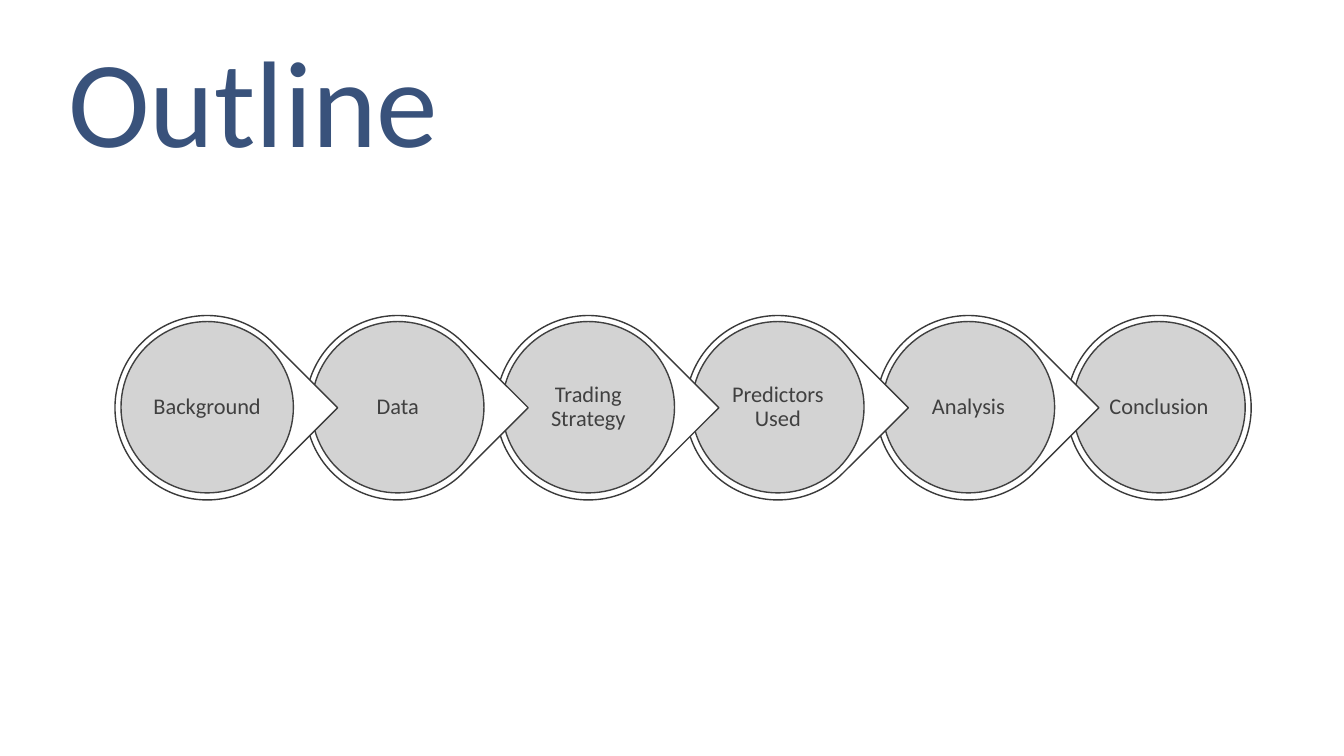
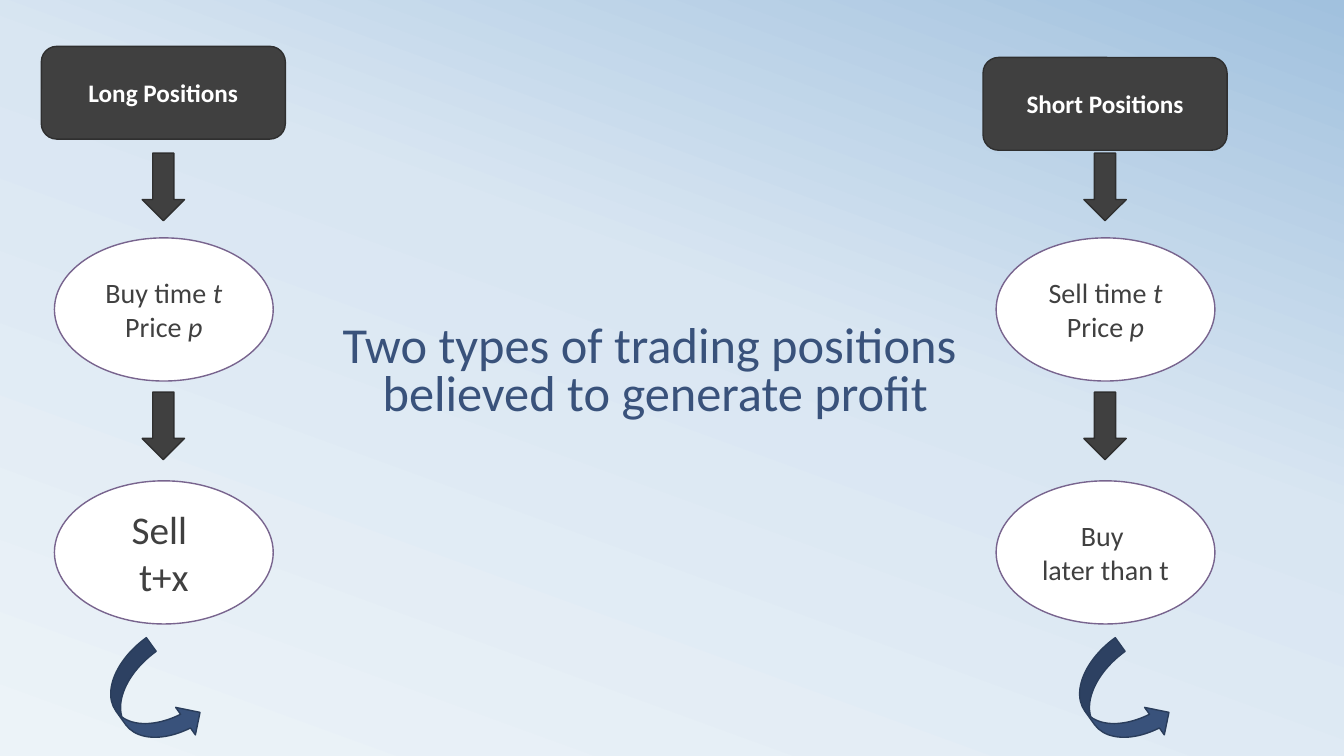
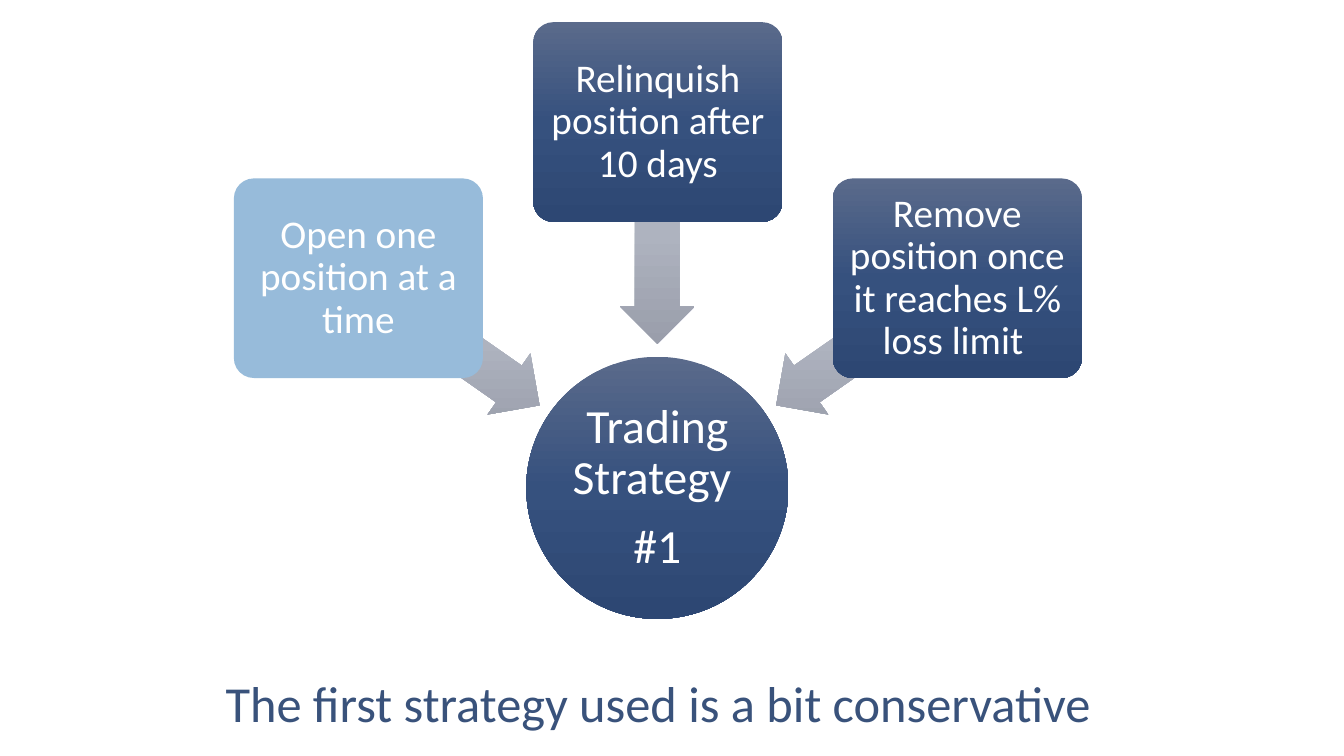
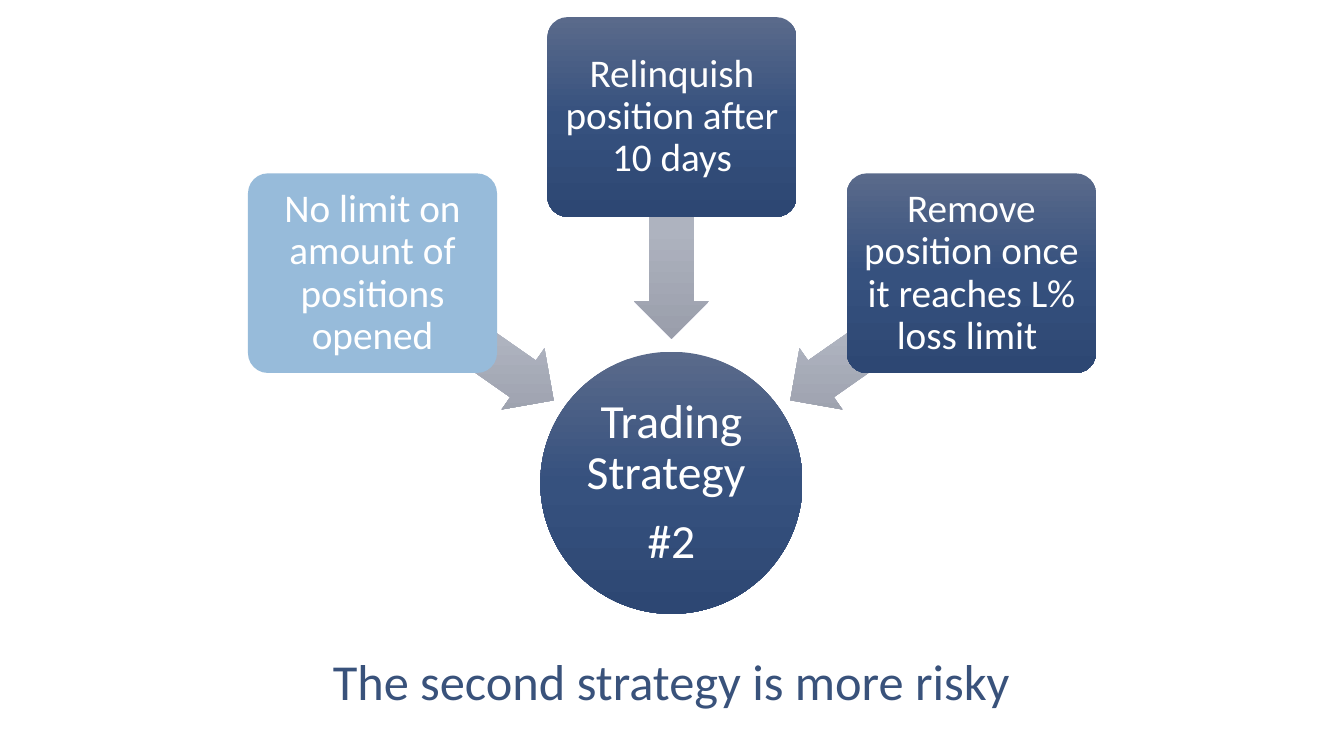
import lxml.etree
import pptx
import pptx.dml.color
import pptx.enum.shapes
import pptx.enum.text
import pptx.oxml.ns
import pptx.util

SCALE = 9144
FONT = "Calibri"
WHITE, GREY, NAVY = "FFFFFF", "404040", "39527B"
EDGE = "2F2F2F"
SKY = "97BBDA"
DEEP = [(0, "5A6A8B"), (50, "36517E"), (100, "2D4773")]
STEEL = [(0, "B8BCC6"), (50, "AEB3BF"), (100, "9A9EAB")]
DAWN = [(0, "ECF3F8"), (58, "D9E6F2"), (100, "A1C1DE")]
KIND = pptx.enum.shapes.MSO_SHAPE
ANCHOR = pptx.enum.text.MSO_ANCHOR
ALIGN = pptx.enum.text.PP_ALIGN


def px(*nums):
    """Turn whole px into EMU lengths."""
    return [pptx.util.Emu(num * SCALE) for num in nums]


def rgb(code):
    """Turn a hex string into a colour."""
    return pptx.dml.color.RGBColor.from_string(code)


def blend(owner, stops, angle):
    """Give a shape or the ground of a slide a gradient, angle clockwise."""
    fill = owner.background.fill if hasattr(owner, "background") else owner.fill
    fill.gradient()
    fill.gradient_angle = 360 - angle
    name = pptx.oxml.ns.qn
    ramp = next(owner.element.iter(name("a:gsLst")))
    ramp.getparent().set("rotWithShape", "0")
    for old in list(ramp):
        ramp.remove(old)
    for place, code in stops:
        stop = lxml.etree.SubElement(ramp, name("a:gs"), pos=str(place * 1000))
        lxml.etree.SubElement(stop, name("a:srgbClr"), val=code)


def fade(shape, share):
    """Set the opacity of a solid fill in percent."""
    name = pptx.oxml.ns.qn
    tint = shape.element.spPr.find(name("a:solidFill")).find(name("a:srgbClr"))
    lxml.etree.SubElement(tint, name("a:alpha"), val=str(share * 1000))


def draw(slide, kind, box, fill, line=None, turn=0, adjust=()):
    """Add a preset shape with a flat fill or a list of gradient stops."""
    shape = slide.shapes.add_shape(kind, *px(*box))
    shape.shadow.inherit = False
    shape.rotation = turn
    for spot, value in enumerate(adjust):
        shape.adjustments[spot] = value
    if isinstance(fill, list):
        blend(shape, fill, 90)
    else:
        shape.fill.solid()
        shape.fill.fore_color.rgb = rgb(fill)
    if line:
        shape.line.color.rgb = rgb(line)
        shape.line.width = pptx.util.Pt(1)
    else:
        shape.line.fill.background()
    return shape


def write(shape, words, size, color, bold=False, align=ALIGN.CENTER,
          anchor=ANCHOR.MIDDLE, pad=None, lead=None, gap=0):
    """Fill a shape with text; stars mark italics, \\v a line break."""
    frame = shape.text_frame
    frame.word_wrap = True
    frame.vertical_anchor = anchor
    if pad is not None:
        frame.margin_left, frame.margin_top, frame.margin_right, frame.margin_bottom = px(*[pad] * 4)
    for row, line in enumerate(words.split("\n")):
        para = frame.add_paragraph() if row else frame.paragraphs[0]
        para.alignment = align
        para.line_spacing = lead
        if row and gap:
            para.space_before = pptx.util.Pt(gap)
        for turn, part in enumerate(line.split("*")):
            for nth, piece in enumerate(part.split("\v")):
                if nth:
                    para.add_line_break()
                if piece:
                    run = para.add_run()
                    run.text = piece
                    font = run.font
                    font.name, font.size = FONT, pptx.util.Pt(size)
                    font.bold, font.italic = bold, turn % 2 == 1
                    font.color.rgb = rgb(color)


def title(slide, box, words, size=36, align=ALIGN.CENTER):
    """Add a title that sits on the bottom of its box."""
    write(slide.shapes.add_textbox(*px(*box)), words, size, NAVY,
          align=align, anchor=ANCHOR.BOTTOM, lead=0.8)


def chain(slide, left, top, names):
    """Draw the row of linked drops, last one at the back."""
    for spot in reversed(range(len(names))):
        x = left + round(188.8 * spot)
        box = (x, top, 183, 183)
        if spot == len(names) - 1:
            draw(slide, KIND.OVAL, box, WHITE, "3A3A3A")
        else:
            draw(slide, KIND.TEAR, box, WHITE, "3A3A3A", turn=45, adjust=[1])
        disc = draw(slide, KIND.OVAL, (x + 6, top + 6, 171, 170), "CFCFCF", GREY)
        fade(disc, 90)
        write(disc, names[spot], 16, GREY, pad=2, lead=0.9)


def trade(slide, left, top, head, steps, bend):
    """Draw one column: a head, two steps and a bent arrow."""
    bar = draw(slide, KIND.ROUNDED_RECTANGLE, (left, top, 242, 92), GREY, EDGE)
    write(bar, head, 18, WHITE, bold=True)
    for (words, size), y, drop in zip(steps, (236, 477), (152, 389)):
        draw(slide, KIND.DOWN_ARROW, (left + 100, drop, 42, 67), GREY, EDGE)
        step = draw(slide, KIND.OVAL, (left + 13, y, 217, 142), WHITE, "78648E")
        write(step, words, size, GREY)
    draw(slide, KIND.CURVED_RIGHT_ARROW, (bend, 642, 67, 108), NAVY, "2A3D5B", turn=324.3)


def plan(slide, left, top, mark, first):
    """Draw three rules that point to a strategy."""
    hub = draw(slide, KIND.OVAL, (left + 290, top + 332, 260, 260), DEEP)
    write(hub, "Trading Strategy \n" + mark, 34, WHITE, pad=2, lead=0.9, gap=12)
    rules = [
        (first, SKY, 155, (103, 280), 215),
        ("Relinquish position after 10 days", DEEP, 0, (310, 172), 270),
        ("Remove position once it reaches L% loss limit ", DEEP, 155, (518, 280), 325),
    ]
    for spot, (words, fill, drop, (x, y), turn) in enumerate(rules):
        draw(slide, KIND.LEFT_ARROW, (left + x, top + y, 220, 74), STEEL,
             turn=turn, adjust=[0.6, 0.5])
        card = draw(slide, KIND.ROUNDED_RECTANGLE, (left + 297 * spot, top + drop, 247, 198),
                    fill, adjust=[0.1])
        write(card, words, 28, WHITE, pad=6, lead=0.9)


def main():
    """Build the four slides and save them."""
    deck = pptx.Presentation()
    deck.slide_width, deck.slide_height = px(1333, 750)
    blank = deck.slide_layouts[6]
    outline, trades, safe, bold = [deck.slides.add_slide(blank) for _ in range(4)]

    title(outline, (58, 42, 408, 133), "Outline", size=88, align=ALIGN.LEFT)
    chain(outline, 114, 313, ["Background", "Data", "Trading Strategy",
                              "Predictors Used", "Analysis", "Conclusion"])

    blend(trades, DAWN, 290)
    trade(trades, 41, 46, "Long Positions",
          [("Buy time *t*\nPrice *p*", 20), ("Sell \nt+x", 28)], 116)
    trade(trades, 975, 57, "Short Positions",
          [("Sell time *t*\nPrice *p*", 20), ("Buy \nlater than t", 20)], 1077)
    title(trades, (327, 245, 646, 178),
          "Two types of trading positions \vbelieved to generate profit")

    title(safe, (53, 614, 1200, 117), "The first strategy used is a bit conservative")
    plan(safe, 232, 22, "#1", "Open one position at a time")

    title(bold, (66, 592, 1200, 117), "The second strategy is more risky")
    plan(bold, 246, 17, "#2", "No limit on amount of positions opened")
    deck.save("out.pptx")


if __name__ == "__main__":
    main()
